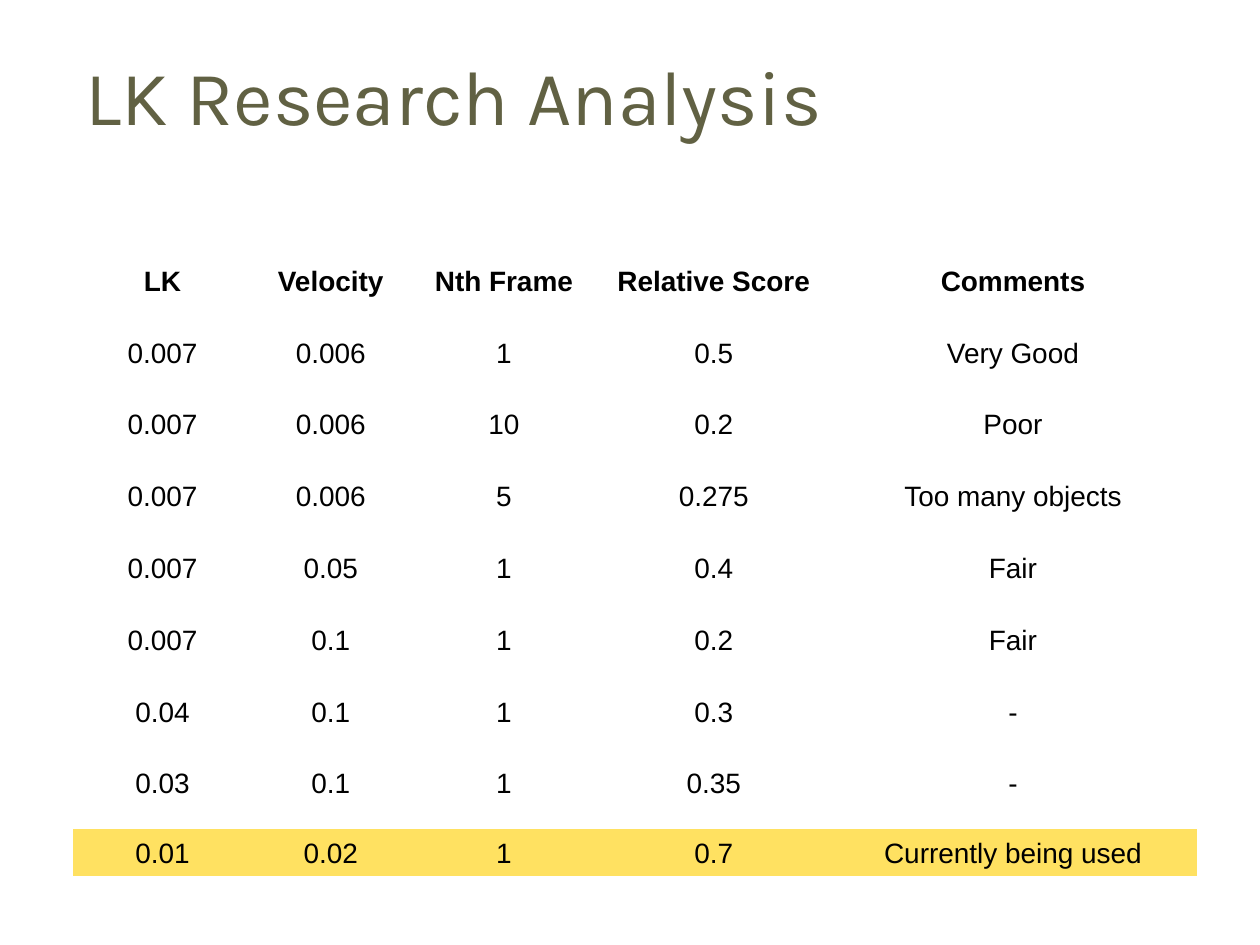
from pptx import Presentation
from pptx.dml.color import RGBColor
from pptx.enum.text import MSO_ANCHOR, PP_ALIGN
from pptx.oxml.ns import qn
from pptx.util import Inches, Pt

OLIVE = RGBColor(0x61, 0x61, 0x43)
BLACK = RGBColor(0, 0, 0)
WHITE = RGBColor(0xFF, 0xFF, 0xFF)
YELLOW = RGBColor(0xFF, 0xE1, 0x61)
NO_STYLE_NO_GRID = "{2D5ABB26-0587-4C30-8999-92F81FD0307C}"

LEFT = 0.58
COLUMN_WIDTHS = [1.42, 1.25, 1.5, 1.83, 2.92]

RESULTS = [
    ["LK", "Velocity", "Nth Frame", "Relative Score", "Comments"],
    ["0.007", "0.006", "1", "0.5", "Very Good"],
    ["0.007", "0.006", "10", "0.2", "Poor"],
    ["0.007", "0.006", "5", "0.275", "Too many objects"],
    ["0.007", "0.05", "1", "0.4", "Fair"],
    ["0.007", "0.1", "1", "0.2", "Fair"],
    ["0.04", "0.1", "1", "0.3", "-"],
    ["0.03", "0.1", "1", "0.35", "-"],
]
CURRENT = [["0.01", "0.02", "1", "0.7", "Currently being used"]]


def write(frame, text, font="Arial", size=16, color=BLACK, bold=False, align=PP_ALIGN.CENTER):
    para = frame.paragraphs[0]
    para.alignment = align
    span = para.add_run()
    span.text = text
    span.font.name = font
    span.font.size = Pt(size)
    span.font.bold = bold
    span.font.color.rgb = color


def add_grid(page, rows, top, heights, fill=None, header=False):
    graphic = page.shapes.add_table(
        len(rows), len(COLUMN_WIDTHS), Inches(LEFT), Inches(top),
        Inches(sum(COLUMN_WIDTHS)), Inches(sum(heights)))
    table = graphic.table
    table.first_row = header
    table.horz_banding = False
    graphic.element.find(".//" + qn("a:tableStyleId")).text = NO_STYLE_NO_GRID
    for column, width in zip(table.columns, COLUMN_WIDTHS):
        column.width = Inches(width)
    for index, (row, height) in enumerate(zip(table.rows, heights)):
        row.height = Inches(height)
        for cell, text in zip(row.cells, rows[index]):
            cell.vertical_anchor = MSO_ANCHOR.BOTTOM
            if fill is None:
                cell.fill.background()
            else:
                cell.fill.solid()
                cell.fill.fore_color.rgb = fill
            write(cell.text_frame, text, bold=header and index == 0)


deck = Presentation()
deck.slide_width = Inches(10)
deck.slide_height = Inches(7.5)
page = deck.slides.add_slide(deck.slide_layouts[6])
page.background.fill.solid()
page.background.fill.fore_color.rgb = WHITE

title = page.shapes.add_textbox(Inches(LEFT), Inches(0.25), Inches(7.92), Inches(0.92))
title.text_frame.word_wrap = True
title.text_frame.vertical_anchor = MSO_ANCHOR.BOTTOM
write(title.text_frame, "LK Research Analysis", font="Karla", size=44, color=OLIVE, align=PP_ALIGN.LEFT)

add_grid(page, RESULTS, 1.42, [0.99] + [0.57] * 7, header=True)
add_grid(page, CURRENT, 6.58, [0.37], fill=YELLOW)

deck.save("out.pptx")
